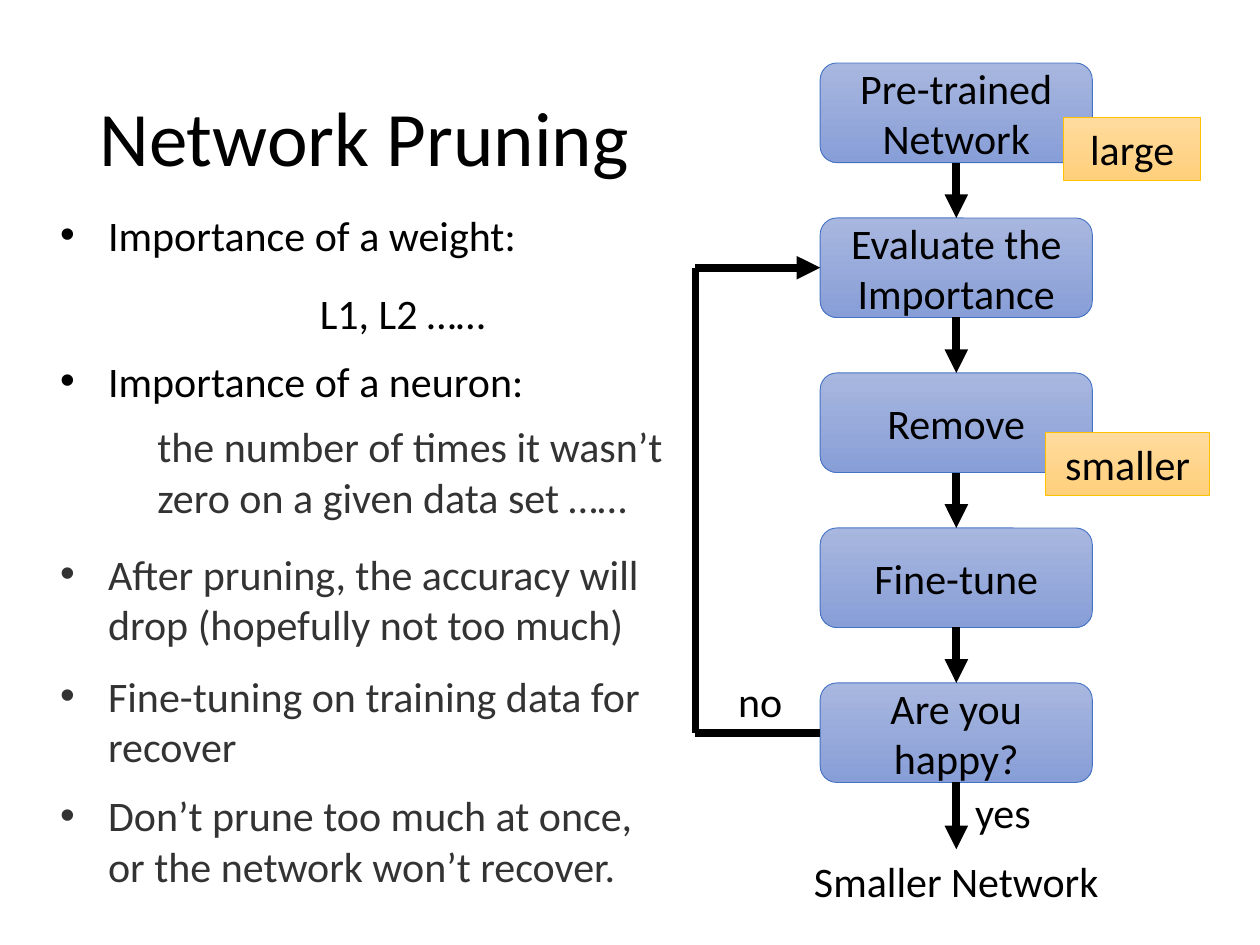
"""Build the Network Pruning slide: criteria on the left, pruning loop on the right."""
from dataclasses import dataclass

from lxml.etree import SubElement
from pptx import Presentation
from pptx.dml.color import RGBColor as RGB
from pptx.enum.shapes import MSO_CONNECTOR as CONN, MSO_SHAPE as SHAPE
from pptx.enum.text import MSO_ANCHOR as ANCHOR, PP_ALIGN as ALIGN
from pptx.oxml.ns import qn
from pptx.util import Inches, Pt


@dataclass(frozen=True)
class Theme:
    font: str = "Calibri"
    title: int = 44
    body: int = 24
    black: str = "000000"
    grey: str = "333333"
    blue: tuple = ("A8B7DF", "889ED7", "4472C4")
    gold: tuple = ("FFDB9E", "FFD07C", "FFC000")
    edge: float = 0.5
    arrow: float = 4.5


T = Theme()
prs = Presentation()
prs.slide_width, prs.slide_height = Inches(10), Inches(7.5)
s = prs.slides.add_slide(prs.slide_layouts[6])


def add_text(box, text, kind=None, colors=None, color=T.black, size=T.body, align=ALIGN.LEFT):
    at = [Inches(v) for v in box]
    sp = s.shapes.add_shape(kind, *at) if kind else s.shapes.add_textbox(*at)
    if colors:
        sp.shadow.inherit = False
        sp.fill.gradient()
        sp.fill.gradient_angle = 270
        for stop, value in zip(sp.fill.gradient_stops, colors):
            stop.color.rgb = RGB.from_string(value)
        sp.line.color.rgb = RGB.from_string(colors[2])
        sp.line.width = Pt(T.edge)
    tf = sp.text_frame
    tf.word_wrap = True
    tf.vertical_anchor = ANCHOR.MIDDLE if kind else ANCHOR.TOP
    tf.text = text
    for p in tf.paragraphs:
        p.alignment = align
        p.font.name, p.font.size = T.font, Pt(size)
        p.font.color.rgb = RGB.from_string(color)
    return sp


def add_line(start, end, head=True):
    c = s.shapes.add_connector(CONN.STRAIGHT, *[Inches(v) for v in (*start, *end)])
    c.line.color.rgb = RGB.from_string(T.black)
    c.line.width = Pt(T.arrow)
    if head:
        SubElement(c.line._get_or_add_ln(), qn("a:tailEnd"), type="triangle")
    SubElement(c._element.spPr, qn("a:effectLst"))
    return c


title = add_text((0.69, 0.4, 8.62, 1.45), "Network Pruning", size=T.title)
title.text_frame.vertical_anchor = ANCHOR.MIDDLE
title.text_frame.paragraphs[0].line_spacing = 0.9

left, top, width, height, step = 6.51, 0.5, 2.16, 0.79, 1.23
center = left + width / 2
labels = ["Pre-trained\nNetwork", "Evaluate the Importance", "Remove", "Fine-tune", "Are you happy?"]
stages = [
    add_text((left, top + i * step, width, height), label, SHAPE.ROUNDED_RECTANGLE, T.blue, align=ALIGN.CENTER)
    for i, label in enumerate(labels)
]
for i, (upper, lower) in enumerate(zip(stages, stages[1:])):
    c = add_line((center, top + i * step + height), (center, top + (i + 1) * step))
    c.begin_connect(upper, 2)
    c.end_connect(lower, 0)

loop_x = 5.52
evaluate_y, happy_y = (top + i * step + height / 2 for i in (1, 4))
add_line((center, top + 4 * step + height), (center, 6.74)).begin_connect(stages[4], 2)
add_line((left, happy_y), (loop_x, happy_y), head=False).begin_connect(stages[4], 1)
add_line((loop_x, happy_y), (loop_x, evaluate_y), head=False)
add_line((loop_x, evaluate_y), (left, evaluate_y)).end_connect(stages[1], 1)

add_text((6.17, 6.74, 2.84, 0.5), "Smaller Network", align=ALIGN.CENTER)
add_text((7.64, 6.19, 0.86, 0.5), "yes")
add_text((5.76, 5.31, 0.86, 0.5), "no")

bullets = [
    (1.61, 0.5, "Importance of a weight:", T.black),
    (2.77, 0.5, "Importance of a neuron:", T.black),
    (4.3, 0.91, "After pruning, the accuracy will drop (hopefully not too much)", T.grey),
    (5.27, 0.91, "Fine-tuning on training data for recover", T.grey),
    (6.22, 0.91, "Don’t prune too much at once, or the network won’t recover.", T.grey),
]
for y, h, text, color in bullets:
    sp = add_text((0.38, y, 5, h), text, color=color)
    pPr = sp.text_frame.paragraphs[0]._p.get_or_add_pPr()
    pPr.set("marL", str(Inches(0.38)))
    pPr.set("indent", str(-Inches(0.38)))
    font = pPr.makeelement(qn("a:buFont"), typeface="Arial")
    mark = pPr.makeelement(qn("a:buChar"), char="•")
    pPr.insert(0, font)
    pPr.insert(1, mark)

add_text((2.44, 2.23, 2.34, 0.5), "L1, L2 ……")
add_text((1.15, 3.29, 4.69, 0.91), "the number of times it wasn’t zero on a given data set ……", color=T.grey)

for box, text in [((8.44, 0.93, 1.09, 0.5), "large"), ((8.3, 3.43, 1.3, 0.5), "smaller")]:
    add_text(box, text, SHAPE.RECTANGLE, T.gold, align=ALIGN.CENTER)

prs.save("out.pptx")
